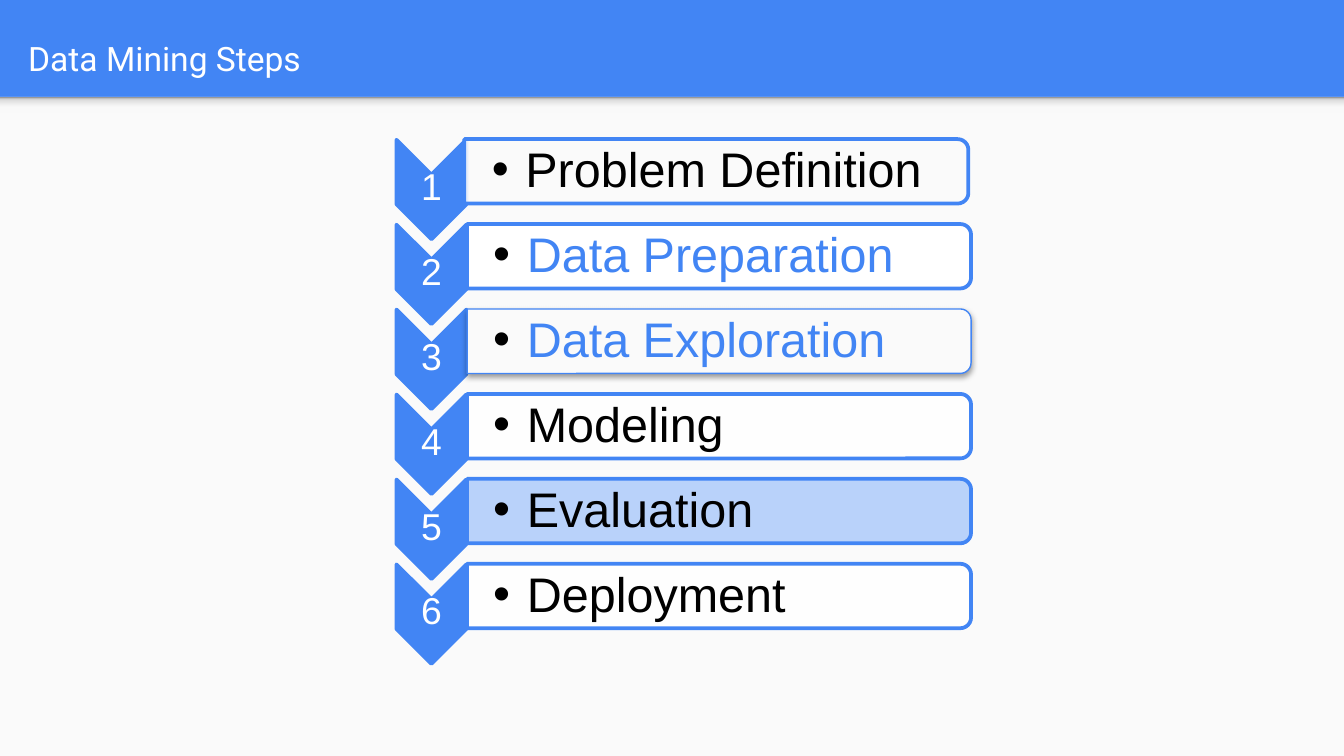
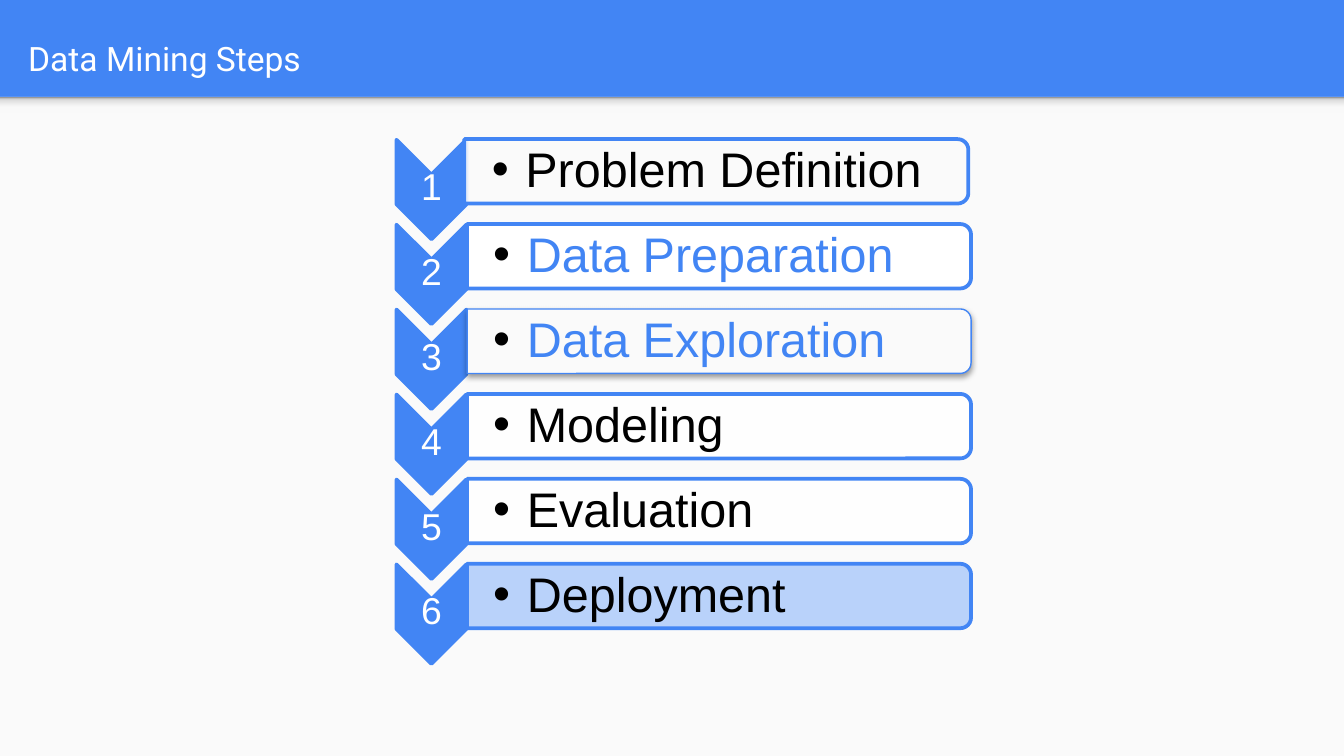
"""Build two slides that step through the stages of data mining."""
import dataclasses
import typing

import lxml.etree
import pptx
import pptx.dml.color
import pptx.enum.shapes
import pptx.enum.text
import pptx.oxml.ns
import pptx.presentation
import pptx.shapes.autoshape
import pptx.shapes.group
import pptx.slide
import pptx.text.text
import pptx.util

Inches = pptx.util.Inches
Pt = pptx.util.Pt
Shape = pptx.shapes.autoshape.Shape
Kind = pptx.enum.shapes.MSO_SHAPE
Align = pptx.enum.text.PP_ALIGN
Anchor = pptx.enum.text.MSO_ANCHOR
Box = tuple[float, float, float, float]

BLUE, PALE, PAPER = "4285F4", "B3CEFB", "FAFAFA"
WHITE, BLACK = "FFFFFF", "000000"
WIDE = 10
HIGH = WIDE * 9 / 16
BAND = 0.72
PITCH = 3.16 / 5
FADE = [(0, "F9F9F9"), (36, "F9F9F9"), (80, "DEDEDE"), (100, "999999")]


@dataclasses.dataclass(frozen=True)
class Step:
    label: str
    ink: str = BLACK
    fill: str = WHITE
    alpha: int = 90
    line: float = 2
    shade: bool = False
    shift: float = 0


STEPS = [
    Step("Problem Definition", fill=PAPER, shift=-0.02),
    Step("Data Preparation", ink=BLUE, alpha=100),
    Step("Data Exploration", ink=BLUE, fill=PAPER, alpha=100, line=0.75, shade=True),
    Step("Modeling"),
    Step("Evaluation"),
    Step("Deployment"),
]


def color(code: str) -> pptx.dml.color.RGBColor:
    return pptx.dml.color.RGBColor.from_string(code)


def node(root: typing.Any, tag: str, **attrs: typing.Any) -> typing.Any:
    texts = {key: str(val) for key, val in attrs.items()}
    return lxml.etree.SubElement(root, pptx.oxml.ns.qn(f"a:{tag}"), texts)


def paint(shape: Shape, fill: str, line: float = 0, alpha: int = 100) -> None:
    shape.shadow.inherit = False
    shape.fill.solid()
    shape.fill.fore_color.rgb = color(fill)
    if alpha < 100:
        tone = shape._element.spPr.find(".//" + pptx.oxml.ns.qn("a:srgbClr"))
        node(tone, "alpha", val=alpha * 1000)
    if line:
        shape.line.color.rgb = color(BLUE)
        shape.line.width = Pt(line)
    else:
        shape.line.fill.background()


def fade(shape: Shape) -> None:
    props = shape._element.spPr
    old = props.find(pptx.oxml.ns.qn("a:solidFill"))
    grad = node(props, "gradFill", rotWithShape=1)
    stops = node(grad, "gsLst")
    for place, code in FADE:
        node(node(stops, "gs", pos=place * 1000), "srgbClr", val=code)
    node(grad, "lin", ang=270 * 60000, scaled=0)
    props.replace(old, grad)


def shade(shape: Shape) -> None:
    root = shape._element.spPr.find(pptx.oxml.ns.qn("a:effectLst"))
    cast = node(root, "outerShdw", blurRad=Pt(3.1), dist=Pt(1.6),
                dir=90 * 60000, rotWithShape=0)
    node(node(cast, "srgbClr", val=BLACK), "alpha", val=38000)


def place(group: pptx.shapes.group.GroupShape, kind: Kind, box: Box) -> Shape:
    shape = group.shapes.add_shape(kind, *map(Inches, box))
    shape.rotation = 90
    return shape


def setup(frame: pptx.text.text.TextFrame, pads: Box, anchor: Anchor) -> None:
    frame.word_wrap = True
    frame.auto_size = pptx.enum.text.MSO_AUTO_SIZE.NONE
    frame.vertical_anchor = anchor
    (frame.margin_left, frame.margin_top,
     frame.margin_right, frame.margin_bottom) = map(Inches, pads)


def write(para: pptx.text.text._Paragraph, text: str, size: float,
          ink: str, face: str = "Arial") -> None:
    run = para.add_run()
    run.text = text
    run.font.size = Pt(size)
    run.font.name = face
    run.font.color.rgb = color(ink)


def label(group: pptx.shapes.group.GroupShape, box: Box, pads: Box,
          after: int) -> pptx.text.text._Paragraph:
    frame = group.shapes.add_textbox(*map(Inches, box)).text_frame
    setup(frame, pads, Anchor.MIDDLE)
    para = frame.paragraphs[0]
    para.line_spacing = 0.9
    props = para._p.get_or_add_pPr()
    node(node(props, "spcAft"), "spcPct", val=after * 1000)
    return para


def bullet(para: pptx.text.text._Paragraph) -> None:
    para.level = 1
    props = para._p.get_or_add_pPr()
    props.set("marL", str(Inches(0.25)))
    props.set("indent", str(Inches(-0.25)))
    node(node(props, "buClr"), "srgbClr", val=BLACK)
    node(props, "buFont", typeface="Arial")
    node(props, "buChar", char="•")


def draw(group: pptx.shapes.group.GroupShape, step: Step, index: int) -> None:
    drop = index * PITCH
    arrow = place(group, Kind.CHEVRON, (2.84, 1.15 + drop, 0.74, 0.52))
    paint(arrow, BLUE, 2)
    para = label(group, (2.95, 1.29 + drop, 0.52, 0.22), (0.01,) * 4, 35)
    para.alignment = Align.CENTER
    write(para, str(index + 1), 20, WHITE)

    bar = place(group, Kind.ROUND_2_SAME_RECTANGLE,
                (5.11 + step.shift, -0.6 + drop, 0.48, 3.75))
    paint(bar, step.fill, step.line, step.alpha)
    if step.shade:
        shade(bar)
    para = label(group, (3.47 + step.shift / 2, 1.06 + drop, 3.73, 0.44),
                 (0.2, 0.02, 0.02, 0.02), 15)
    bullet(para)
    write(para, step.label, 26, step.ink)


def title(slide: pptx.slide.Slide, text: str) -> None:
    head = slide.shapes.title
    head.left, head.top, head.width, head.height = map(Inches, (0.11, 0.02, 9.65, 0.66))
    setup(head.text_frame, (0.1,) * 4, Anchor.BOTTOM)
    para = head.text_frame.paragraphs[0]
    para.alignment = Align.LEFT
    write(para, text, 18, WHITE, "Roboto")


def theme(deck: pptx.presentation.Presentation, slide: pptx.slide.Slide) -> None:
    back = deck.slide_master.background.fill
    back.solid()
    back.fore_color.rgb = color(BLUE)
    first = slide.slide_layout.placeholders[0]._element
    for high in (HIGH - BAND, 0.12):
        panel = slide.shapes.add_shape(
            Kind.RECTANGLE, 0, Inches(BAND), Inches(WIDE), Inches(high))
        paint(panel, PAPER)
        first.addprevious(panel._element)
    fade(panel)


def main() -> None:
    deck = pptx.Presentation()
    deck.slide_width, deck.slide_height = Inches(WIDE), Inches(HIGH)
    layout = deck.slide_layouts[5]
    for focus in ("Evaluation", "Deployment"):
        slide = deck.slides.add_slide(layout)
        title(slide, "Data Mining Steps")
        group = slide.shapes.add_group_shape()
        for index, step in enumerate(STEPS):
            if step.label == focus:
                step = dataclasses.replace(step, fill=PALE)
            draw(group, step, index)
    theme(deck, slide)
    deck.save("out.pptx")


if __name__ == "__main__":
    main()
